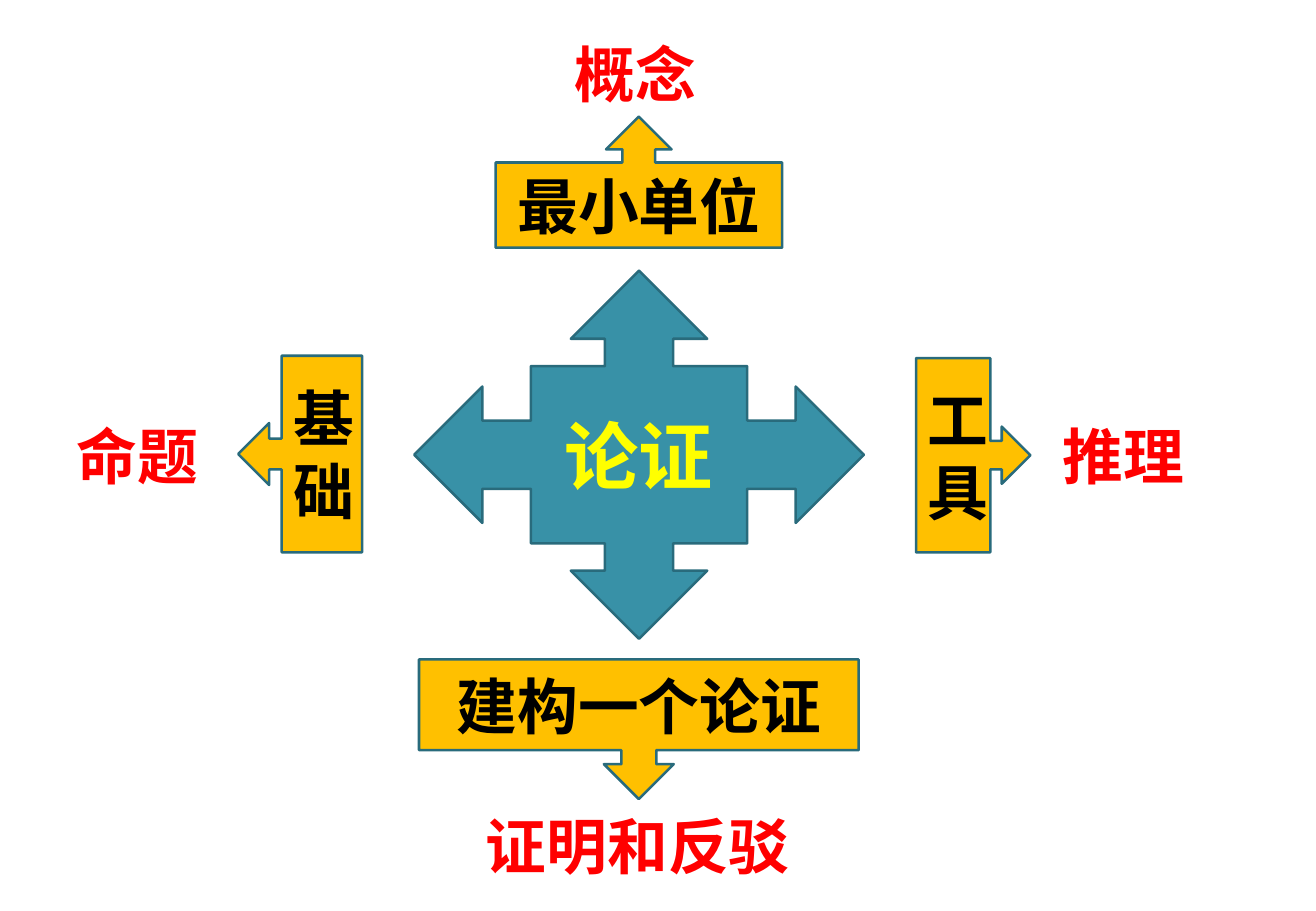
from dataclasses import dataclass

from pptx import Presentation
from pptx import util as u
from pptx.dml.color import RGBColor
from pptx.enum import shapes, text

TEAL = RGBColor(0x38, 0x91, 0xA7)
DARK_TEAL = RGBColor(0x29, 0x6B, 0x7C)
AMBER = RGBColor(0xFF, 0xC0, 0x00)
YELLOW = RGBColor(0xFF, 0xFF, 0x00)
BLACK = RGBColor(0x00, 0x00, 0x00)
RED = RGBColor(0xFF, 0x00, 0x00)
FONT = "Calibri"
LABEL_HEIGHT = 1.8


@dataclass(frozen=True)
class Callout:
    words: str
    kind: shapes.MSO_SHAPE
    left: float
    top: float
    width: float
    height: float
    fill: RGBColor = AMBER
    color: RGBColor = BLACK
    size: int = 36


@dataclass(frozen=True)
class Label:
    words: str
    left: float
    top: float
    width: float
    wrap: bool = False


CALLOUTS = [
    Callout("论证", shapes.MSO_SHAPE.QUAD_ARROW_CALLOUT, 8.66, 5.66, 9.4, 7.7, TEAL, YELLOW, 44),
    Callout("最小单位", shapes.MSO_SHAPE.UP_ARROW_CALLOUT, 10.36, 2.44, 5.99, 2.74),
    Callout("工具", shapes.MSO_SHAPE.RIGHT_ARROW_CALLOUT, 19.15, 7.49, 2.39, 4.06),
    Callout("基础", shapes.MSO_SHAPE.LEFT_ARROW_CALLOUT, 4.98, 7.44, 2.59, 4.11),
    Callout("建构一个论证", shapes.MSO_SHAPE.DOWN_ARROW_CALLOUT, 8.76, 13.79, 9.19, 2.92),
]

LABELS = [
    Label("概念", 11.76, 0.64, 6.6, True),
    Label("命题", 1.35, 8.64, 3.07),
    Label("推理", 21.97, 8.64, 3.07),
    Label("证明和反驳", 9.91, 16.79, 6.93),
]


def write(paragraph, words: str, size: int, color: RGBColor) -> None:
    run = paragraph.add_run()
    run.text = words
    run.font.name = FONT
    run.font.size = u.Pt(size)
    run.font.bold = True
    run.font.color.rgb = color


def draw_callout(slide, callout: Callout) -> None:
    shape = slide.shapes.add_shape(
        callout.kind, u.Cm(callout.left), u.Cm(callout.top), u.Cm(callout.width), u.Cm(callout.height)
    )
    shape.shadow.inherit = False
    shape.fill.solid()
    shape.fill.fore_color.rgb = callout.fill
    shape.line.color.rgb = DARK_TEAL
    shape.line.width = u.Pt(1.5)
    shape.text_frame.vertical_anchor = text.MSO_ANCHOR.MIDDLE
    paragraph = shape.text_frame.paragraphs[0]
    paragraph.alignment = text.PP_ALIGN.CENTER
    write(paragraph, callout.words, callout.size, callout.color)


def draw_label(slide, label: Label) -> None:
    shape = slide.shapes.add_textbox(
        u.Cm(label.left), u.Cm(label.top), u.Cm(label.width), u.Cm(LABEL_HEIGHT)
    )
    shape.text_frame.word_wrap = label.wrap
    shape.text_frame.auto_size = text.MSO_AUTO_SIZE.SHAPE_TO_FIT_TEXT
    write(shape.text_frame.paragraphs[0], label.words, 36, RED)


def main() -> None:
    presentation = Presentation()
    presentation.slide_width = u.Cm(27.51)
    presentation.slide_height = u.Cm(19.05)
    slide = presentation.slides.add_slide(presentation.slide_layouts[6])
    for callout in CALLOUTS:
        draw_callout(slide, callout)
    for label in LABELS:
        draw_label(slide, label)
    presentation.save("out.pptx")


if __name__ == "__main__":
    main()
